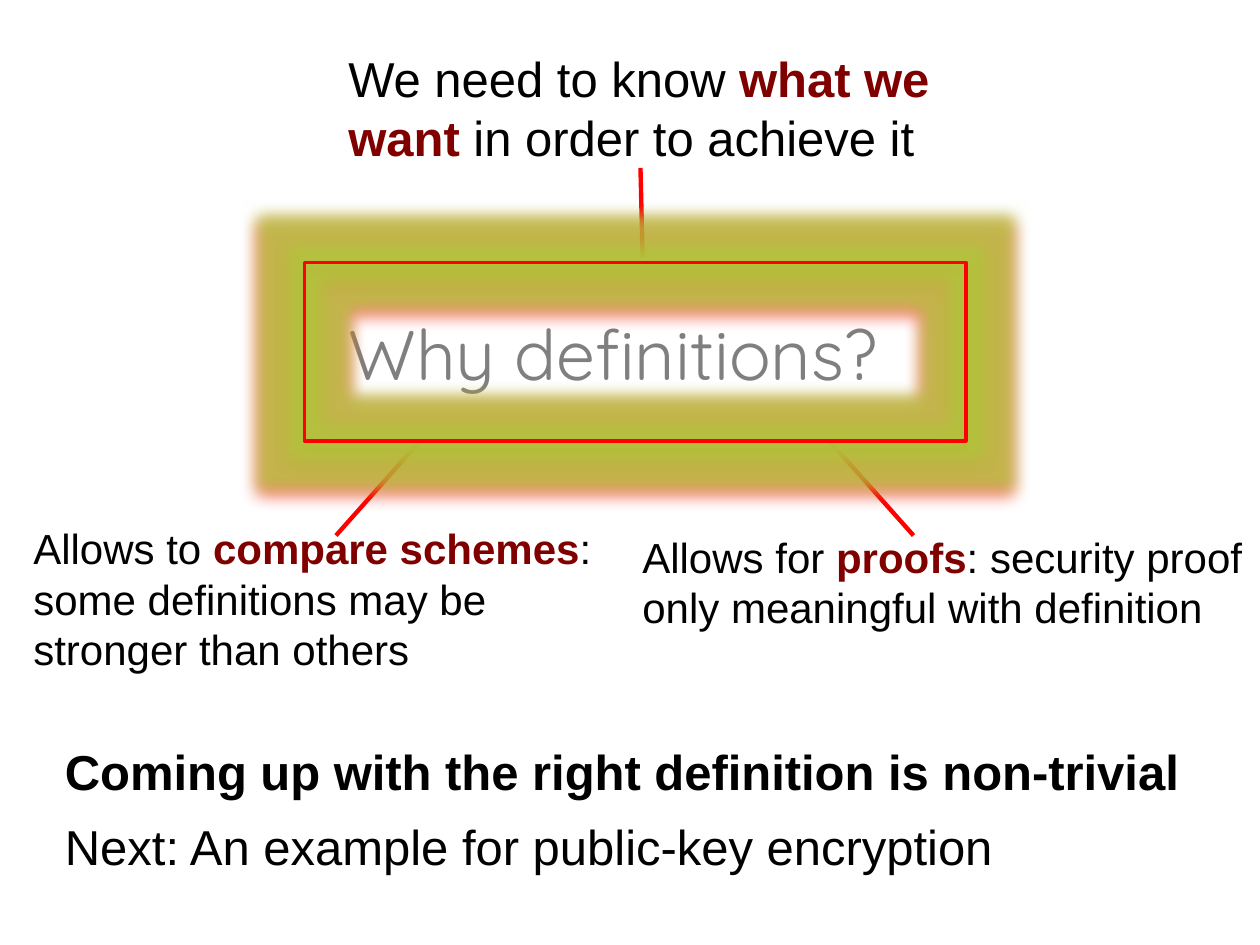
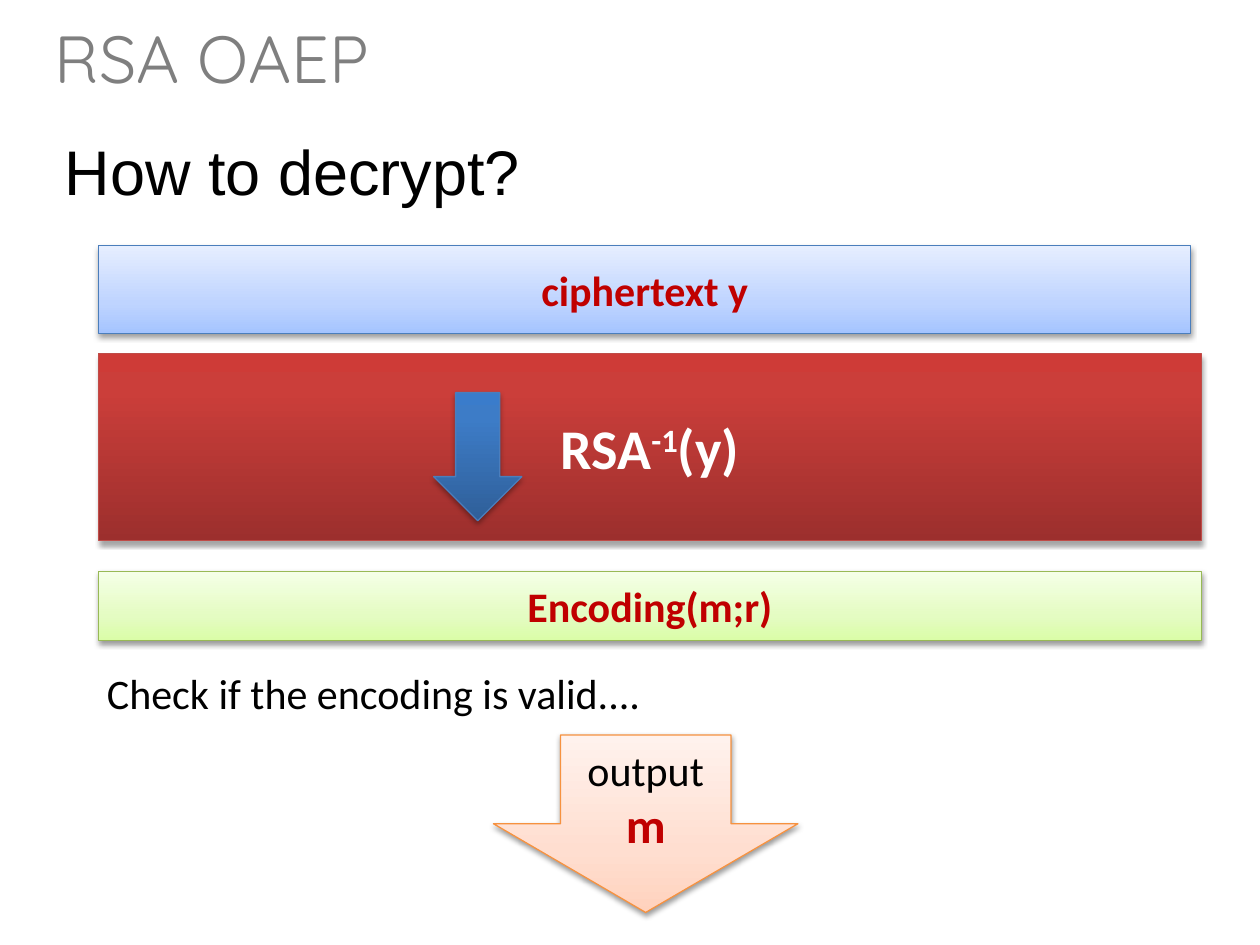
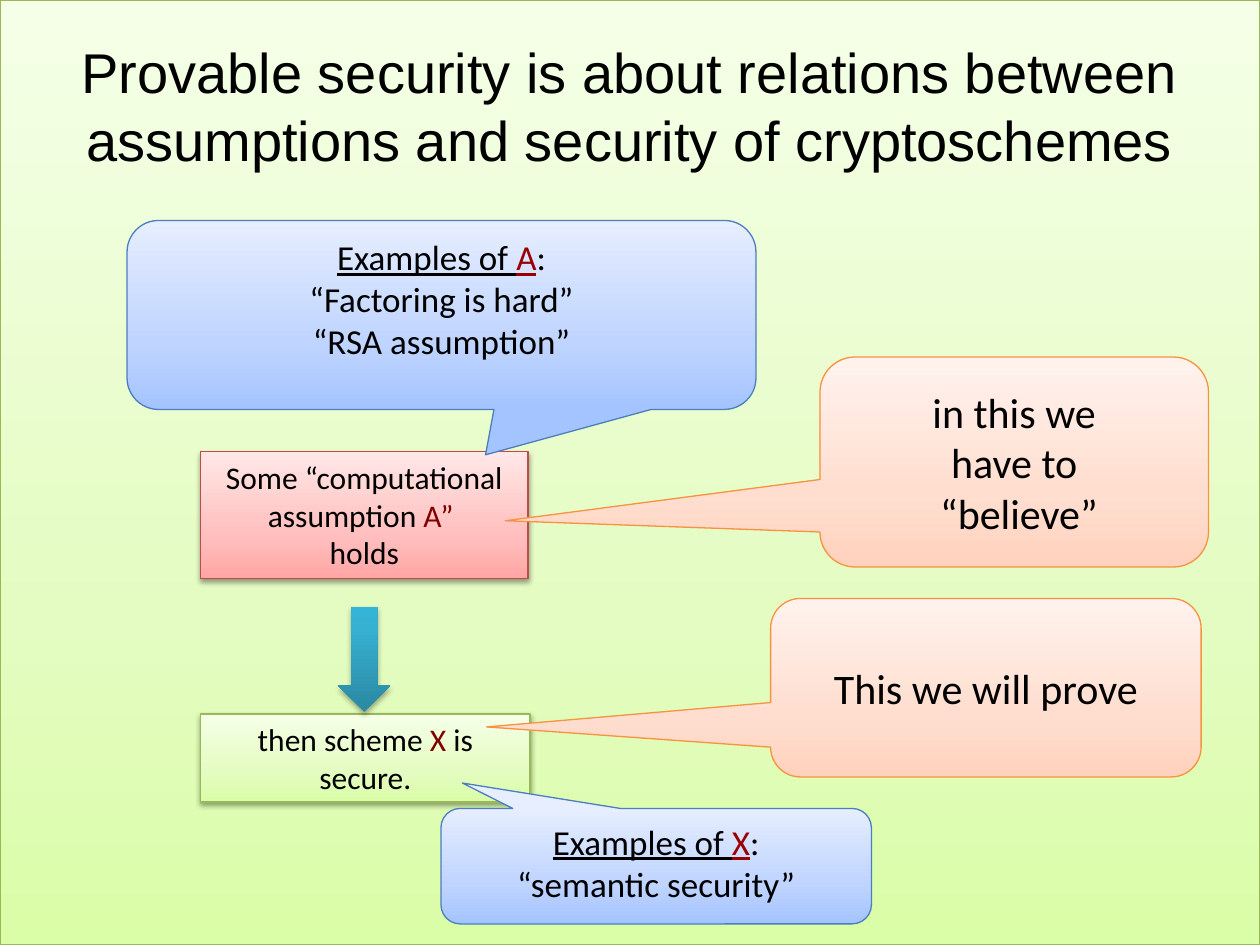
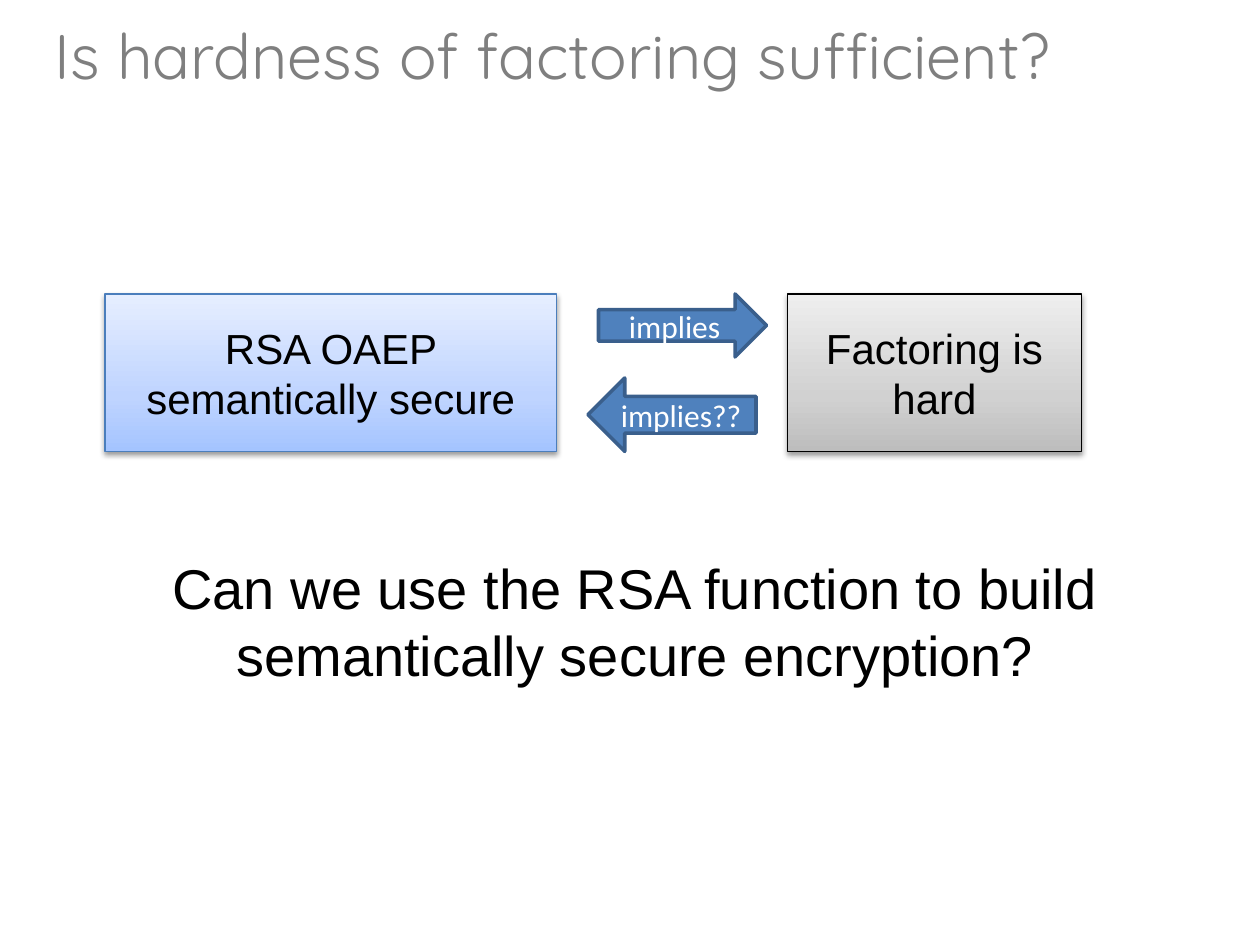
from pptx import Presentation
from pptx.dml.color import RGBColor
from pptx.enum.shapes import MSO_CONNECTOR, MSO_SHAPE
from pptx.enum.text import MSO_ANCHOR, PP_ALIGN
from pptx.oxml import parse_xml
from pptx.oxml.ns import nsdecls
from pptx.util import Pt

PX = 7620  # 120 px to the inch
rgb = RGBColor.from_string

# Shared colours and fonts
BLACK, WHITE, GREY = "000000", "FFFFFF", "7F7F7F"
RED, CRIMSON, MAROON, DARK_RED = "FF0000", "C00000", "800000", "990000"
HEADING_FONT, BODY_FONT, DIAGRAM_FONT = "Quicksand", "Arial", "Calibri"
LEFT, CENTER = PP_ALIGN.LEFT, PP_ALIGN.CENTER
TOP, MIDDLE = MSO_ANCHOR.TOP, MSO_ANCHOR.MIDDLE

# Shared gradients: bottom, middle and top colour, position of the middle, line
GRADIENTS = {
    "pale blue": ("A4C4FF", "BFD4FF", "E6EEFF", 35, "4B7EBC"),
    "pale green": ("DAFDA7", "E4FCC2", "F5FFE7", 35, "98B955"),
    "pale red": ("FFA6A5", "FFC0BF", "FFE7E7", 35, "BF4C48"),
    "pale orange": ("FFD2BD", "FFDED0", "FFF2ED", 35, "F69240"),
    "pale grey": ("BDBDBD", "D1D1D1", "EEEEEE", 35, BLACK),
    "strong red": ("9C2F2D", "CB3E3A", "CE3B37", 80, "BF4C48"),
    "strong blue": ("2F5F99", "3D7CC7", "3A7CCB", 80, "4B7EBC"),
    "strong teal": ("2A88A2", "37B1D2", "34B4D6", 80, None),
}
SHADOW = ('<a:outerShdw blurRad="{}" dist="{}" dir="5400000" rotWithShape="0">'
          '<a:srgbClr val="{}"><a:alpha val="{}000"/></a:srgbClr></a:outerShdw>')


def draw(slide, kind, place, gradient=None, shadow=True, adjust=()):
    """Place the title, a text box or a preset shape, given in px."""
    left, top, width, height = [value * PX for value in place]
    if kind == "title":
        box = slide.shapes.title
        box.left, box.top, box.width, box.height = left, top, width, height
        return box
    if kind == "text":
        return slide.shapes.add_textbox(left, top, width, height)
    box = slide.shapes.add_shape(kind, left, top, width, height)
    box.shadow.inherit = False
    for index, value in enumerate(adjust):
        box.adjustments[index] = value
    if gradient:
        low, mid, high, position, line = GRADIENTS[gradient]
        stops = "".join(f'<a:gs pos="{at}000"><a:srgbClr val="{tone}"/></a:gs>'
                        for at, tone in ((0, low), (position, mid), (100, high)))
        properties = box._element.spPr
        properties.find("{*}prstGeom").addnext(parse_xml(
            f'<a:gradFill {nsdecls("a")} rotWithShape="1"><a:gsLst>{stops}</a:gsLst>'
            '<a:lin ang="16200000" scaled="0"/></a:gradFill>'))
        if line:
            box.line.color.rgb = rgb(line)
            box.line.width = Pt(0.75)
        else:
            box.line.fill.background()
        if shadow:
            distance, alpha = (20000, 38) if position == 35 else (23000, 35)
            properties.find("{*}effectLst").append(parse_xml(
                SHADOW.format(40000, distance, BLACK, alpha).replace(
                    "<a:outerShdw", f'<a:outerShdw {nsdecls("a")}')))
    return box


def write(box, paragraphs, size, font=BODY_FONT, color=BLACK, bold=False,
          align=LEFT, anchor=TOP):
    """Fill a box; a paragraph is a string or a list of (text, font changes)."""
    frame = box.text_frame
    frame.word_wrap = True
    frame.vertical_anchor = anchor
    for index, pieces in enumerate(paragraphs):
        paragraph = frame.add_paragraph() if index else frame.paragraphs[0]
        paragraph.alignment = align
        paragraph.font.size = Pt(size)
        paragraph.font.name = font
        paragraph.font.bold = bold
        paragraph.font.color.rgb = rgb(color)
        for text, changes in [(pieces, {})] if isinstance(pieces, str) else pieces:
            if text == "\n":
                paragraph.add_line_break()
                continue
            run = paragraph.add_run()
            run.text = text
            for name, value in changes.items():
                if name == "color":
                    run.font.color.rgb = rgb(value)
                elif name == "baseline":
                    run.font._element.set("baseline", str(value))
                else:
                    setattr(run.font, name, value)


deck = Presentation()
deck.slide_width, deck.slide_height = 1200 * PX, 900 * PX
title_only = deck.slide_layouts[5]
why, decrypt, relations, hardness = [deck.slides.add_slide(title_only) for _ in range(4)]

# Grey headings
for slide, place, heading, size in (
        (why, (320, 290, 650, 92), "Why definitions?", 40),
        (decrypt, (40, 10, 1120, 89), "RSA OAEP", 38),
        (hardness, (40, 10, 1120, 85), "Is hardness of factoring sufficient?", 36)):
    write(draw(slide, "title", place), [heading], size, HEADING_FONT, GREY)

# Slide 1: spokes, glowing frame and the three reasons
for x1, y1, x2, y2 in ((610, 160, 612, 245), (400, 420, 320, 510), (790, 420, 870, 510)):
    spoke = why.shapes.add_connector(
        MSO_CONNECTOR.STRAIGHT, x1 * PX, y1 * PX, x2 * PX, y2 * PX)
    spoke.line.color.rgb = rgb(RED)
    spoke.line.width = Pt(2.5)
    spoke._element.spPr.append(parse_xml(f'<a:effectLst {nsdecls("a")}/>'))

frame_around = draw(why, MSO_SHAPE.RECTANGLE, (290, 250, 630, 170))
frame_around.fill.background()
frame_around.line.color.rgb = rgb(RED)
frame_around.line.width = Pt(2)
effects = frame_around._element.spPr.find("{*}effectLst")
effects.getparent().replace(effects, parse_xml(
    f'<a:effectLst {nsdecls("a")}><a:glow rad="228600"><a:srgbClr val="AFC83C">'
    '<a:alpha val="75000"/></a:srgbClr></a:glow>'
    + SHADOW.format(50800, 50800, RED, 100) + '</a:effectLst>'))

KEY = {"color": MAROON, "bold": True}
for place, size, before, key, after in (
        ((320, 40, 580, 125), 28, "We need to know ", "what we want ",
         "in order to achieve it"),
        ((20, 492, 600, 157), 24, "Allows to ", "compare schemes",
         ": some definitions may be stronger than others"),
        ((600, 500, 600, 109), 24, "Allows for ", "proofs",
         ": security proof only meaningful with definition")):
    write(draw(why, "text", place), [[(before, {}), (key, KEY), (after, {})]], size)

write(draw(why, "text", (50, 700, 1192, 68)),
      ["Coming up with the right definition is non-trivial"], 28, bold=True)
write(draw(why, "text", (50, 772, 1192, 68)),
      ["Next: An example for public-key encryption"], 28)

# Slide 2: decryption from top to bottom
write(draw(decrypt, "text", (50, 120, 1050, 85)), ["How to decrypt?"], 36)
write(draw(decrypt, MSO_SHAPE.RECTANGLE, (94, 337, 1050, 178), "strong red"),
      [[("RSA", {}), ("-1", {"baseline": 30000}), ("(y)", {})]],
      32, DIAGRAM_FONT, WHITE, True, CENTER, MIDDLE)
for place, gradient, value in (
        ((94, 234, 1040, 84), "pale blue", "ciphertext y"),
        ((94, 544, 1050, 66), "pale green", "Encoding(m;r)")):
    write(draw(decrypt, MSO_SHAPE.RECTANGLE, place, gradient), [value],
          24, DIAGRAM_FONT, CRIMSON, True, CENTER, MIDDLE)
draw(decrypt, MSO_SHAPE.DOWN_ARROW, (413, 374, 84, 122), "strong blue")
write(draw(decrypt, "text", (90, 630, 870, 60)),
      ["Check if the encoding is valid...."], 24, DIAGRAM_FONT)
write(draw(decrypt, MSO_SHAPE.DOWN_ARROW, (470, 700, 290, 169), "pale orange",
           adjust=(0.56, 0.5)),
      ["output", [("m", {"size": Pt(28), "color": CRIMSON, "bold": True})]],
      24, DIAGRAM_FONT, align=CENTER, anchor=MIDDLE)

# Slide 3: green backdrop behind the title
backdrop = draw(relations, MSO_SHAPE.RECTANGLE, (0, 0, 1200, 900), "pale green")
relations.shapes.title._element.addprevious(backdrop._element)
write(draw(relations, "title", (20, 30, 1160, 142)),
      ["Provable security is about relations between assumptions and security"
       " of cryptoschemes"], 32, align=CENTER)

# Assumption and conclusion
LETTER = {"color": MAROON}
for place, gradient, claim in (
        ((191, 680, 314, 84), "pale green",
         [[("then scheme ", {}), ("X", LETTER), (" is secure.", {})]]),
        ((191, 430, 312, 121), "pale red",
         ["Some “computational",
          [("assumption ", {}), ("A” ", LETTER), ("\n", {}), ("holds", {})]])):
    write(draw(relations, MSO_SHAPE.RECTANGLE, place, gradient), claim,
          18, DIAGRAM_FONT, align=CENTER)

# Callouts and the arrow between the claims
UNDERLINED = {"underline": True}
EXAMPLE_LETTER = {"underline": True, "color": DARK_RED}
for place, tip, remark in (
        ((781, 340, 370, 200), (-1.31, 0.28), ["in this we", "have to", " “believe”"]),
        ((734, 570, 410, 170), (-1.16, 0.22), ["This we will prove"])):
    write(draw(relations, MSO_SHAPE.ROUNDED_RECTANGULAR_CALLOUT, place,
               "pale orange", False, tip),
          remark, 24, DIAGRAM_FONT, align=CENTER, anchor=MIDDLE)
draw(relations, MSO_SHAPE.DOWN_ARROW, (322, 578, 50, 100), "strong teal")
for place, tip, letter, examples in (
        ((121, 210, 599, 180), (0.07, 0.74), "A",
         ["“Factoring is hard”", "“RSA assumption”"]),
        ((420, 770, 410, 110), (-0.45, -0.72), "X", ["“semantic security”"])):
    lead = [("Examples of ", UNDERLINED), (letter, EXAMPLE_LETTER), (":", {})]
    write(draw(relations, MSO_SHAPE.ROUNDED_RECTANGULAR_CALLOUT, place,
               "pale blue", False, tip),
          [lead, *examples], 20, DIAGRAM_FONT, align=CENTER)

# Slide 4: two statements and the implications between them
for place, gradient, statement in (
        ((100, 280, 430, 150), "pale blue", "RSA OAEP semantically secure"),
        ((750, 280, 280, 150), "pale grey", "Factoring is hard")):
    write(draw(hardness, MSO_SHAPE.RECTANGLE, place, gradient), [statement],
          24, align=CENTER, anchor=MIDDLE)
for kind, place, label in (
        (MSO_SHAPE.RIGHT_ARROW, (570, 280, 160, 60), "implies"),
        (MSO_SHAPE.LEFT_ARROW, (560, 360, 160, 70), "implies??")):
    implication = draw(hardness, kind, place)
    implication.fill.solid()
    implication.fill.fore_color.rgb = rgb("4F81BD")
    implication.line.color.rgb = rgb("3A5F8C")
    implication.line.width = Pt(2)
    write(implication, [label], 18, DIAGRAM_FONT, WHITE, align=CENTER, anchor=MIDDLE)
write(draw(hardness, "text", (40, 521, 1130, 142)),
      ["Can we use the RSA function to build semantically secure encryption?"],
      32, align=CENTER)

deck.save("out.pptx")
